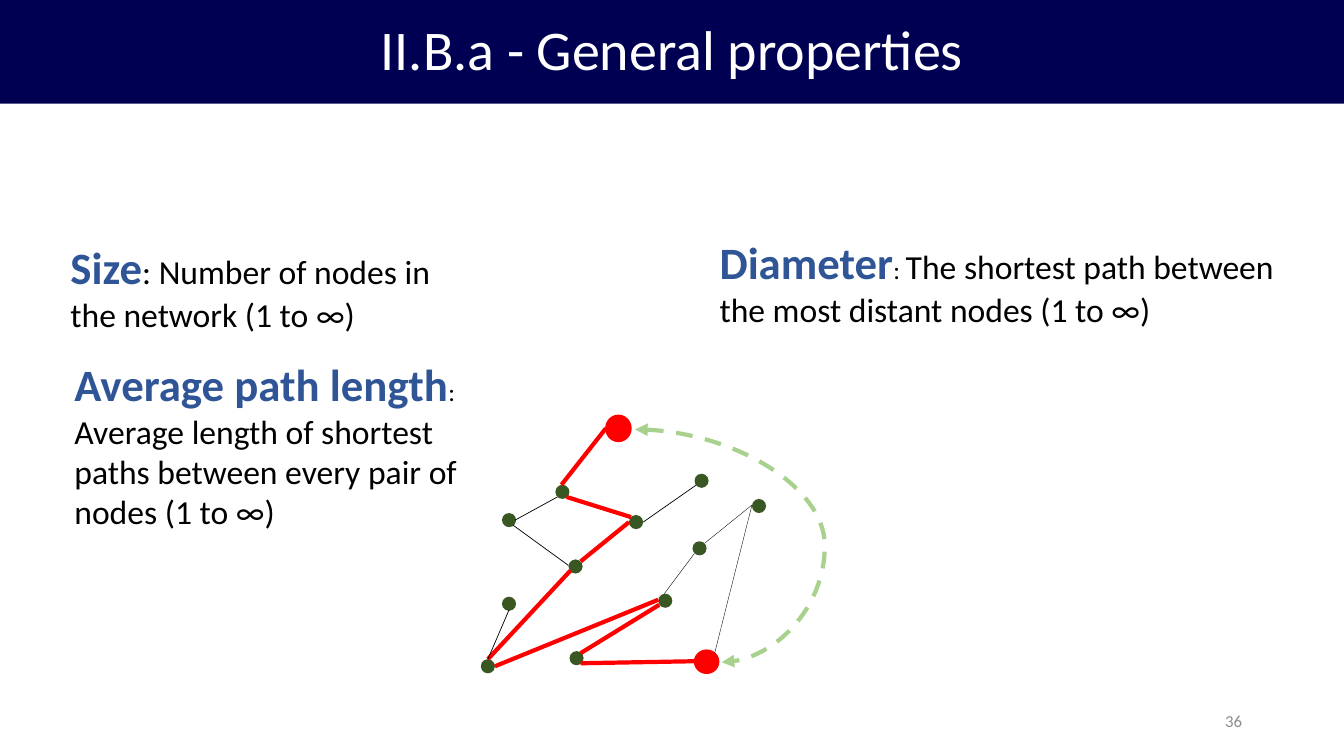
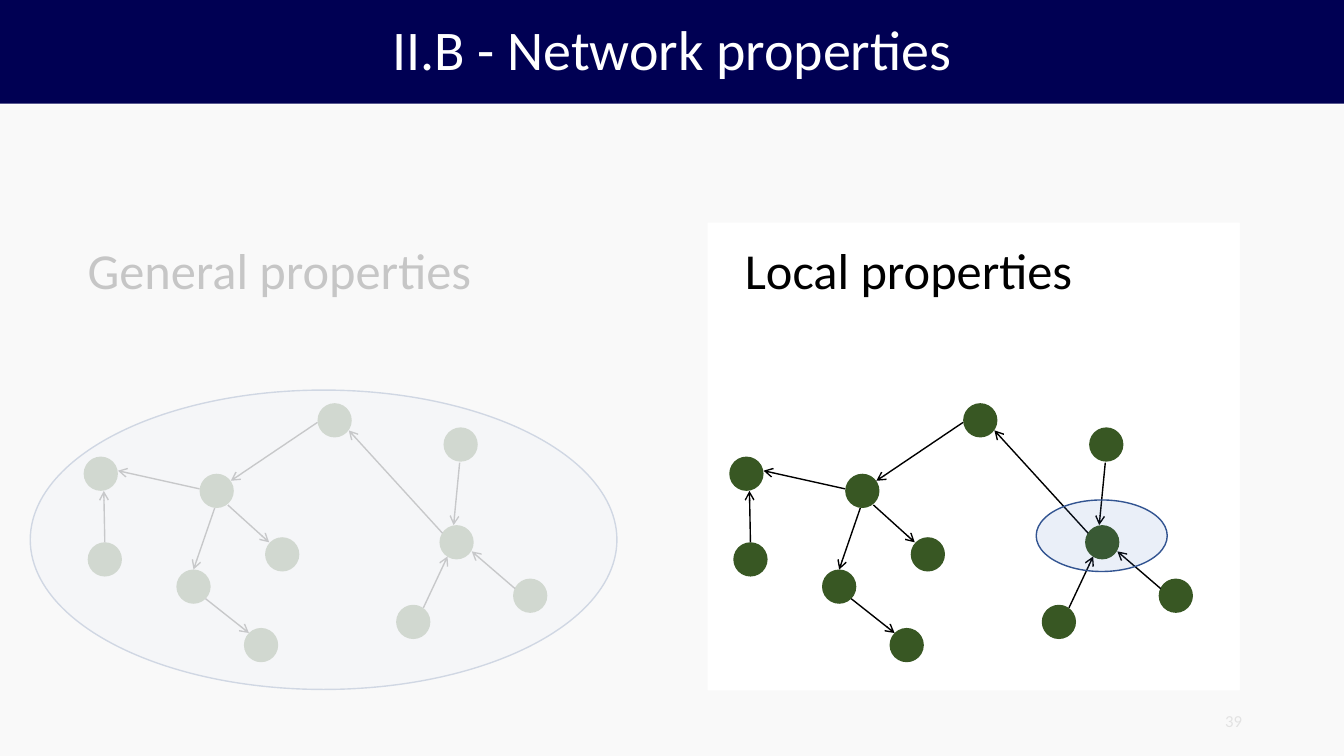
from pptx import Presentation
from pptx.dml.color import RGBColor
from pptx.enum.dml import MSO_LINE as Dash
from pptx.enum.shapes import MSO_CONNECTOR as Link, MSO_SHAPE as Form
from pptx.enum.text import MSO_ANCHOR as Anchor, MSO_AUTO_SIZE as Fit, PP_ALIGN as Align
from pptx.oxml.ns import qn
from pptx.util import Inches, Pt
from lxml.etree import SubElement as Sub

# Grid: square cells, a tenth of an inch each
COLS, ROWS = 133.33, 75
BAND = 10.3
cell = Inches(0.1)
hue = RGBColor.from_string
NAVY, BLUE, GREEN, RED = "000053", "2F5597", "385723", "FF0000"
BLACK, WHITE, GREY, LIME = "000000", "FFFFFF", "8C8C8C", "A9D18E"
GLASS, RIM, VEIL = "4472C4", "325491", "F8F8F8"


def paint(item, fill=None, line=None, width=1, alpha=None, dash=None, head=None, tail=None):
    """Fill and outline a shape, or colour a connector and give it arrowheads."""
    if fill:
        item.shadow.inherit = False
        item.fill.solid()
        item.fill.fore_color.rgb = hue(fill)
    else:
        Sub(item._element.spPr, qn("a:effectLst"))
    if alpha:
        tint = item._element.spPr.find(qn("a:solidFill"))[0]
        Sub(tint, qn("a:alpha"), val=str(alpha * 1000))
    if not line:
        item.line.fill.background()
        return
    item.line.color.rgb = hue(line)
    item.line.width = Pt(width)
    if dash:
        item.line.dash_style = dash
    for end, kind in (("a:headEnd", head), ("a:tailEnd", tail)):
        if kind:
            Sub(item.line._get_or_add_ln(), qn(end), type=kind)


def write(shape, runs, form, align=Align.LEFT, space=None):
    """Put runs of (text, size, colour, bold) in one paragraph."""
    for key, val in form.items():
        setattr(shape.text_frame, key, val)
    para = shape.text_frame.paragraphs[0]
    para.alignment = align
    if space:
        para.line_spacing = space
    for text, size, tone, bold in runs:
        run = para.add_run()
        run.text = text
        look = {"name": "Calibri", "size": Pt(size), "bold": bold}
        for key, val in look.items():
            setattr(run.font, key, val)
        run.font.color.rgb = hue(tone)


deck = Presentation()
deck.slide_width, deck.slide_height = int(COLS * cell), ROWS * cell
MID = {"word_wrap": True, "vertical_anchor": Anchor.MIDDLE}
GROW = {"word_wrap": True, "auto_size": Fit.SHAPE_TO_FIT_TEXT}
FREE = {"word_wrap": False, "auto_size": Fit.SHAPE_TO_FIT_TEXT}

# Both slides: title band and page number
pages = []
for title, num in (("II.B.a - General properties", "36"), ("II.B - Network properties", "39")):
    page = deck.slides.add_slide(deck.slide_layouts[6]).shapes
    band = page.add_shape(Form.RECTANGLE, 0, 0, deck.slide_width, int(BAND * cell))
    paint(band, NAVY)
    write(band, [(title, 40, WHITE, False)], MID, Align.CENTER, 0.9)
    foot = page.add_textbox(*(int(v * cell) for v in (94.2, 69.5, 30, 4)))
    write(foot, [(num, 12, GREY, False)], MID, Align.RIGHT)
    pages.append(page)
first, second = pages

# Slide 1: definitions
terms = [
    ((6, 23.3, 41.8, 10.4), "Size", ": ", 24, "Number of nodes in the network (1 to ∞)"),
    ((70.4, 22.8, 57, 10.4), "Diameter", ": ", 18,
     "The shortest path between the most distant nodes (1 to ∞)"),
    ((6.4, 34.9, 45, 18.5), "Average path length", ": ", 18,
     "Average length of shortest paths between every pair of nodes (1 to ∞)"),
]
for box, term, colon, size, text in terms:
    note = first.add_textbox(*(int(v * cell) for v in box))
    write(note, [(term, 32, BLUE, True), (colon, size, BLACK, False),
                 (text, 24, BLACK, False)], GROW)

# Slide 1: network with its longest shortest path
web = first.add_group_shape().shapes
dots = [(49.8, 50.9), (56.4, 55.5), (49.8, 59.2), (55.1, 48.1), (65.3, 58.9), (56.5, 64.6),
        (62.4, 51.1), (68.7, 53.7), (47.7, 65.4), (74.6, 49.5), (68.9, 47)]
ends = [(60.1, 41.2, 2.5, 2.6), (68.9, 64.5, 2.4, 2.3)]
for box in [(x, y, 1.4, 1.4) for x, y in dots] + ends:
    dot = web.add_shape(Form.OVAL, *(int(v * cell) for v in box))
    paint(dot, *((RED, RED) if box in ends else (GREEN,)))
links = [
    (RED, 3, [(55.7, 48.1, 60.1, 42.5), (57.6, 55.7, 62.4, 51.8), (48.4, 65.4, 56.6, 56.6),
              (57.6, 64.8, 65.4, 60), (49.1, 66.1, 65.3, 59.5), (57.6, 65.8, 68.9, 65.6),
              (62.6, 51.3, 56.2, 49.3)]),
    (BLACK, 0.5, [(56.4, 56.1, 50.9, 52.1), (63.8, 51.8, 69.1, 48.1),
                  (48.4, 65.4, 50.5, 60.5), (51.1, 51.6, 55.3, 49.3)]),
    (BLACK, 0.25, [(65.9, 58.9, 68.9, 54.9), (70.9, 64.8, 74.6, 50.1),
                   (69.9, 53.9, 74.6, 50.1)]),
]
for tone, width, spans in links:
    for span in spans:
        link = web.add_connector(Link.STRAIGHT, *(int(v * cell) for v in span))
        paint(link, line=tone, width=width)

# Slide 1: dashed arc between the two ends
arc = web.add_connector(Link.CURVE, *(int(v * cell) for v in (63, 42.6, 71.6, 65.7)))
paint(arc, line=LIME, width=3, dash=Dash.DASH, head="triangle", tail="triangle")
geom = arc._element.spPr.find(qn("a:prstGeom"))
bend = geom.find(qn("a:avLst"))
if bend is None:
    bend = Sub(geom, qn("a:avLst"))
Sub(bend, qn("a:gd"), name="adj1", fmla="val 219000")

# Slide 2: the same directed network twice, each arrow pointing at its second end
SIDE = 3.4
nodes = [(17.5, 56.5), (24.2, 62.3), (39.3, 60), (43.6, 52.1), (19.8, 47), (8.3, 45.3),
         (8.7, 53.8), (26.3, 53.3), (31.5, 40), (44, 42.4), (50.9, 57.4)]
flows = [(19.8, 48.5, 11.7, 46.7), (10.4, 53.8, 10.3, 48.7), (21.3, 50.4, 19.2, 56.5),
         (22.6, 50.1, 26.7, 53.8), (31.5, 41.9, 22.9, 47.7), (20.4, 59.4, 24.7, 62.8),
         (43.9, 52.9, 34.6, 42.7), (42, 60.3, 44.4, 55.2), (45.6, 45.9, 45, 52.1),
         (51.1, 58.4, 46.8, 54.7)]
parts = [(0, 7.7, 40.5, "General properties"), (64.05, 72.9, 34.8, "Local properties")]
for shift, left, wide, text in parts:
    head = second.add_textbox(*(int(v * cell) for v in (left, 23.2, wide, 7.1)))
    write(head, [(text, 36, BLACK, False)], FREE)
    for x, y in nodes:
        dot = second.add_shape(Form.OVAL, *(int(v * cell) for v in (x + shift, y, SIDE, SIDE)))
        paint(dot, GREEN)
    for ax, ay, bx, by in flows:
        span = (ax + shift, ay, bx + shift, by)
        flow = second.add_connector(Link.STRAIGHT, *(int(v * cell) for v in span))
        paint(flow, line=BLACK, tail="arrow")

# Slide 2: glass ovals for the whole network and for one node
for box in ((3, 38.7, 58.2, 29.7), (102.8, 49.6, 13, 7.1)):
    glass = second.add_shape(Form.OVAL, *(int(v * cell) for v in box))
    paint(glass, GLASS, RIM, alpha=11)

# Slide 2: veil with a window on the local part
rings = [(70.2, 22.1, 123, 68.5), (0, BAND + 0.1, COLS, ROWS)]
pen = None
for ring in rings:
    l, t, r, b = (int(v * cell) for v in ring)
    if pen:
        pen.move_to(l, t)
    else:
        pen = second.build_freeform(l, t)
    pen.add_line_segments([(r, t), (r, b), (l, b)], close=True)
paint(pen.convert_to_shape(), VEIL, alpha=80)

deck.save("out.pptx")
